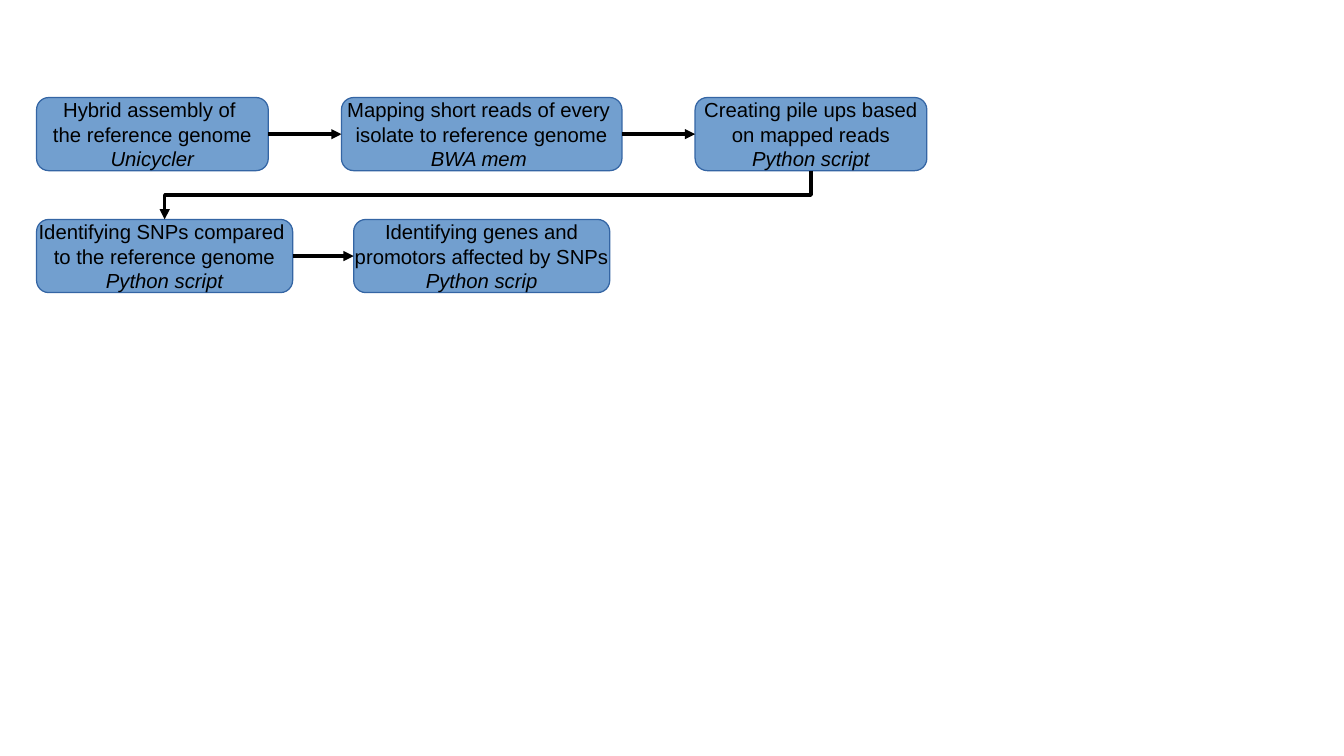
from dataclasses import dataclass

from lxml.etree import SubElement
from pptx import Presentation
from pptx.dml.color import RGBColor
from pptx.enum.shapes import MSO_CONNECTOR, MSO_SHAPE
from pptx.enum.text import MSO_ANCHOR, PP_ALIGN
from pptx.oxml.ns import qn
from pptx.util import Inches, Pt


@dataclass(frozen=True)
class Theme:
    box_fill = RGBColor(0x72, 0x9F, 0xCF)
    box_line = RGBColor(0x34, 0x65, 0xA4)
    ink = RGBColor(0, 0, 0)
    font = "Arial"
    text_size = Pt(12)
    hairline = Pt(0)


theme = Theme()
TOP, LEFT, BOTTOM, RIGHT = range(4)  # connection sites of a box
BOX_HEIGHT = 0.6

prs = Presentation()
prs.slide_width, prs.slide_height = Inches(11.02), Inches(6.2)
slide = prs.slides.add_slide(prs.slide_layouts[6])

# Left, top, width, task, tool
pipeline = [
    (0.3, 0.8, 1.9, "Hybrid assembly of \vthe reference genome", "Unicycler"),
    (2.8, 0.8, 2.3, "Mapping short reads of every \visolate to reference genome", "BWA mem "),
    (5.7, 0.8, 1.9, "Creating pile ups based\von mapped reads", "Python script"),
    (0.3, 1.8, 2.1, "Identifying SNPs compared \vto the reference genome", "Python script"),
    (2.9, 1.8, 2.1, "Identifying genes and\vpromotors affected by SNPs", "Python scrip"),
]

steps = []
for left, top, width, task, tool in pipeline:
    step = slide.shapes.add_shape(
        MSO_SHAPE.FLOWCHART_ALTERNATE_PROCESS,
        Inches(left), Inches(top), Inches(width), Inches(BOX_HEIGHT))
    step.shadow.inherit = False
    step.fill.solid()
    step.fill.fore_color.rgb = theme.box_fill
    step.line.color.rgb = theme.box_line
    step.line.width = theme.hairline

    frame = step.text_frame
    frame.word_wrap = False
    frame.vertical_anchor = MSO_ANCHOR.MIDDLE
    frame.text = f"{task}\n{tool}"
    for paragraph in frame.paragraphs:
        paragraph.alignment = PP_ALIGN.CENTER
        for run in paragraph.runs:
            run.font.name = theme.font
            run.font.size = theme.text_size
            run.font.color.rgb = theme.ink
    frame.paragraphs[1].runs[0].font.italic = True
    steps.append(step)

for source, target in zip(steps, steps[1:]):
    same_row = source.top == target.top
    kind = MSO_CONNECTOR.STRAIGHT if same_row else MSO_CONNECTOR.ELBOW
    arrow = slide.shapes.add_connector(kind, 0, 0, 0, 0)
    arrow.begin_connect(source, RIGHT if same_row else BOTTOM)
    arrow.end_connect(target, LEFT if same_row else TOP)
    arrow.line.color.rgb = theme.ink
    arrow.line.width = theme.hairline
    properties = arrow._element.spPr
    SubElement(properties.find(qn("a:ln")), qn("a:tailEnd"), type="triangle")
    SubElement(properties, qn("a:effectLst"))

    if not same_row:
        # A quarter turn makes the elbow leave downwards and arrive from above
        span, drop = arrow.width, arrow.height
        middle_x, middle_y = arrow.left + span // 2, arrow.top + drop // 2
        arrow.left, arrow.top = middle_x - drop // 2, middle_y - span // 2
        arrow.width, arrow.height = drop, span
        transform = properties.find(qn("a:xfrm"))
        transform.set("rot", "5400000")
        transform.set("flipH", "0")

prs.save("out.pptx")
